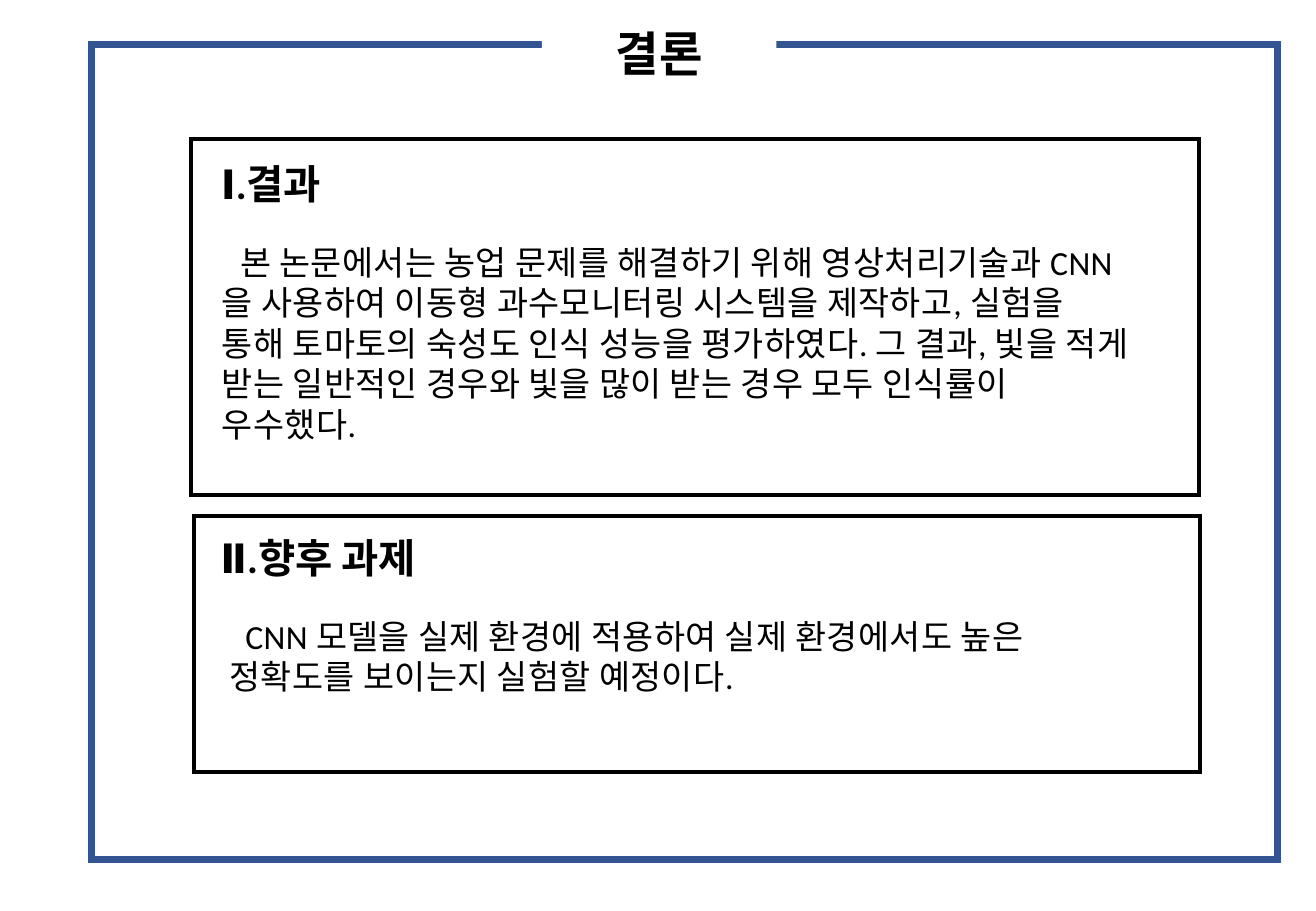
from pptx import Presentation
from pptx.dml.color import RGBColor
from pptx.enum.shapes import MSO_SHAPE as Shape
from pptx.enum.text import MSO_ANCHOR as Anchor, MSO_AUTO_SIZE as AutoSize, PP_ALIGN as Align
from pptx.oxml.ns import qn
from pptx.util import Cm, Pt
from lxml.etree import SubElement

BLACK, WHITE, BLUE = "000000", "FFFFFF", "325491"


def paint(color_format, color):
    color_format.rgb = RGBColor.from_string(color)


def write(frame, text, size=20, bold=False, color=BLACK, font="Calibri",
          align=Align.LEFT, anchor=Anchor.TOP, indent=0, spacing=0):
    frame.word_wrap = True
    frame.auto_size = AutoSize.NONE
    frame.vertical_anchor = anchor
    para = frame.paragraphs[0]
    para.alignment = align
    para.line_spacing = 1.0
    para.space_before = Pt(0)
    properties = para._p.get_or_add_pPr()
    properties.set("marL", "0")
    properties.set("indent", str(Cm(indent)))
    span = para.add_run()
    span.text = text
    span.font.name, span.font.size, span.font.bold = font, Pt(size), bold
    paint(span.font.color, color)
    span._r.get_or_add_rPr().set("spc", str(round(spacing * 100)))


class Page:
    """Draws the outlined boxes, texts and title of one slide."""

    def __init__(self, deck):
        self.page = deck.slides.add_slide(deck.slide_layouts[5])
        self.shapes = self.page.shapes

    def box(self, left, top, width, height, line, weight, fill=None):
        box = self.shapes.add_shape(Shape.RECTANGLE, Cm(left), Cm(top), Cm(width), Cm(height))
        box.shadow.inherit = False
        if fill:
            box.fill.solid()
            paint(box.fill.fore_color, fill)
        else:
            box.fill.background()
        paint(box.line.color, line)
        box.line.width = Pt(weight)
        outline = box.element.spPr.find(qn("a:ln"))
        SubElement(outline, qn("a:miter")).set("lim", "800000")

    def text(self, left, top, width, height, text, **style):
        box = self.shapes.add_textbox(Cm(left), Cm(top), Cm(width), Cm(height))
        write(box.text_frame, text, **style)

    def title(self, left, top, width, height, text):
        title = self.shapes.title
        title.left, title.top, title.width, title.height = map(Cm, (left, top, width, height))
        title.fill.solid()
        paint(title.fill.fore_color, WHITE)
        write(title.text_frame, text, size=28, bold=True, align=Align.CENTER, anchor=Anchor.MIDDLE)
        title.element.getparent().append(title.element)


def main():
    deck = Presentation()
    deck.slide_width, deck.slide_height = Cm(27.51), Cm(19.05)
    page = Page(deck)

    page.box(4.06, 10.79, 21.02, 5.36, BLACK, 2.25, WHITE)
    page.box(3.99, 2.91, 21.08, 7.44, BLACK, 2.25, WHITE)

    page.text(4.37, 3.2, 7.95, 1.24, "Ⅰ.결과", size=24, bold=True)
    page.text(4.36, 11.03, 7.95, 1.24, "Ⅱ.향후 과제", size=24, bold=True)

    page.text(4.39, 4.93, 19.5, 4.47,
              "본 논문에서는 농업 문제를 해결하기 위해 영상처리기술과 CNN을 사용하여 "
              "이동형 과수모니터링 시스템을 제작하고, 실험을 통해 토마토의 숙성도 인식 "
              "성능을 평가하였다. 그 결과, 빛을 적게 받는 일반적인 경우와 빛을 많이 "
              "받는 경우 모두 인식률이 우수했다.", indent=0.38, spacing=0.2)
    page.text(4.55, 12.75, 19.5, 2.77,
              "CNN 모델을 실제 환경에 적용하여 실제 환경에서도 높은 정확도를 "
              "보이는지 실험할 예정이다.", indent=0.33, spacing=0.2)

    page.box(1.91, 0.93, 24.79, 17.04, BLUE, 4)
    page.title(11.33, 0.1, 4.9, 1.98, "결론")
    deck.save("out.pptx")


if __name__ == "__main__":
    main()
